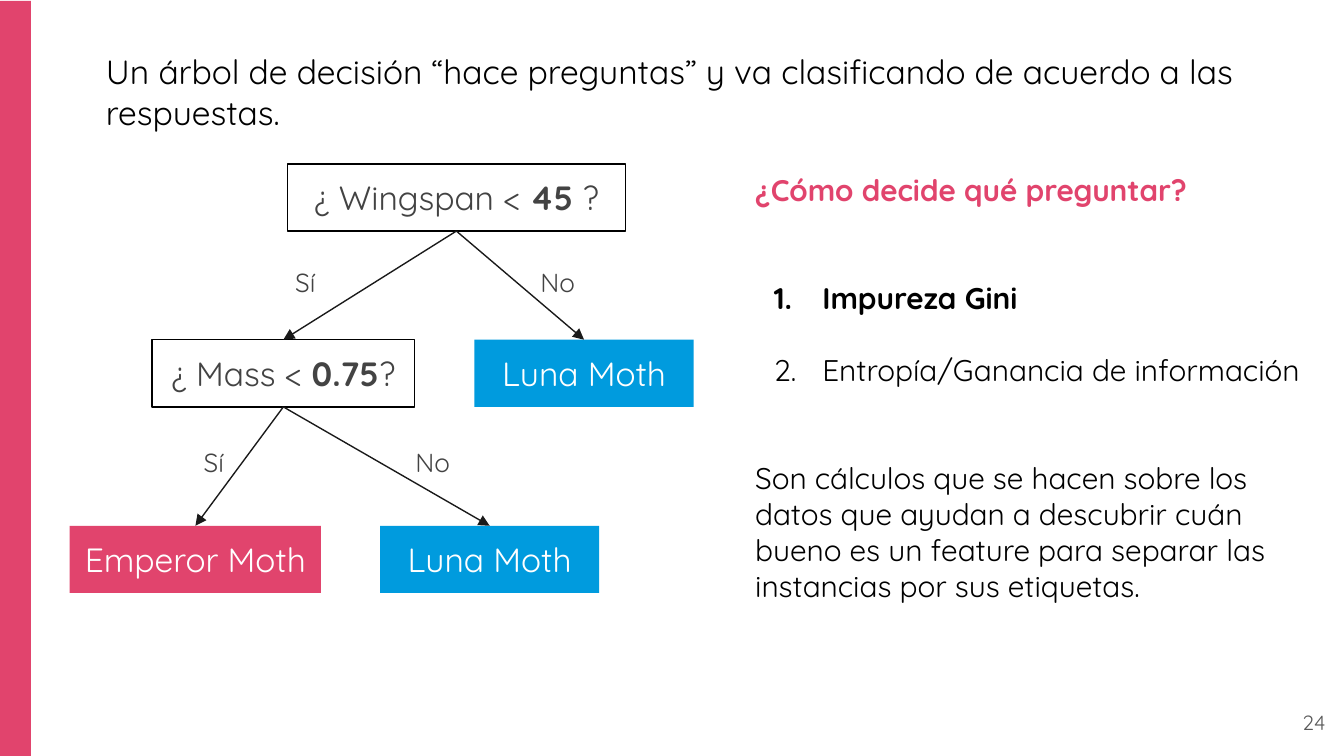
"""Build a slide that explains how a decision tree chooses its questions."""
from lxml.etree import SubElement
from pptx import Presentation
from pptx.dml.color import RGBColor
from pptx.enum.shapes import MSO_CONNECTOR, MSO_SHAPE
from pptx.enum.text import MSO_ANCHOR, PP_ALIGN
from pptx.oxml.ns import qn
from pptx.util import Pt

COLORS = {"pink": "E1446D", "blue": "009BDE", "black": "000000", "white": "FFFFFF",
          "dark": "434343", "gray": "595959", "arrow": "1A1A1A"}


def rgb(name):
    return RGBColor.from_string(COLORS[name])


def add_text(tf, text, size=16, color="black", bold=False, align=PP_ALIGN.LEFT,
             before=0, numbered=False):
    """Add a paragraph; asterisks in the text switch bold on and off."""
    tf.word_wrap = True
    tf.margin_left = tf.margin_right = tf.margin_top = tf.margin_bottom = Pt(7.2)
    p = tf.add_paragraph() if tf.text else tf.paragraphs[0]
    p.alignment = align
    if before:
        p.space_before = Pt(before)
    if numbered:
        pPr = p._p.get_or_add_pPr()
        pPr.set("marL", str(Pt(36)))
        pPr.set("indent", str(Pt(-26)))
        clr = SubElement(pPr, qn("a:buClr"))
        SubElement(clr, qn("a:srgbClr"), val=COLORS[color])
        SubElement(pPr, qn("a:buAutoNum"), type="arabicPeriod")
    for i, part in enumerate(text.split("*")):
        if part:
            r = p.add_run()
            r.text = part
            r.font.name = "Quicksand"
            r.font.size = Pt(size)
            r.font.bold = bold != (i % 2 == 1)
            r.font.color.rgb = rgb(color)


prs = Presentation()
prs.slide_width, prs.slide_height = Pt(720), Pt(405)
s = prs.slides.add_slide(prs.slide_layouts[6])

bar = s.shapes.add_shape(MSO_SHAPE.RECTANGLE, Pt(0), Pt(0.5), Pt(16.6), Pt(404.5))
bar.shadow.inherit = False
bar.fill.solid()
bar.fill.fore_color.rgb = rgb("pink")
bar.line.fill.background()

nodes = {}
for key, text, x, y, w, fill in [
    ("wingspan", "¿ Wingspan < *45 *?", 154, 87.8, 181, None),
    ("luna_top", "Luna Moth", 254.2, 182, 117.4, "blue"),
    ("mass", "¿ Mass < *0.75*?", 81.5, 182, 140.6, None),
    ("luna_low", "Luna Moth", 203.6, 281.7, 117.4, "blue"),
    ("emperor", "Emperor Moth", 37.4, 281.7, 134.6, "pink"),
]:
    sp = s.shapes.add_shape(MSO_SHAPE.RECTANGLE, Pt(x), Pt(y), Pt(w), Pt(36))
    sp.shadow.inherit = False
    if fill:
        sp.fill.solid()
        sp.fill.fore_color.rgb = rgb(fill)
        sp.line.fill.background()
    else:
        sp.fill.background()
        sp.line.color.rgb = rgb("black")
        sp.line.width = Pt(0.75)
    sp.text_frame.vertical_anchor = MSO_ANCHOR.MIDDLE
    add_text(sp.text_frame, text, size=18, color="white" if fill else "dark",
             align=PP_ALIGN.CENTER)
    nodes[key] = sp

for parent, child, answer, x, y in [
    ("wingspan", "luna_top", "No", 277.2, 135.4),
    ("wingspan", "mass", "Sí", 142, 135.4),
    ("mass", "luna_low", "No", 210.2, 231.8),
    ("mass", "emperor", "Sí", 93, 231.8),
]:
    arrow = s.shapes.add_connector(MSO_CONNECTOR.STRAIGHT, 0, 0, 0, 0)
    arrow.begin_connect(nodes[parent], 2)
    arrow.end_connect(nodes[child], 0)
    arrow.line.color.rgb = rgb("arrow")
    arrow.line.width = Pt(0.75)
    SubElement(arrow.line._get_or_add_ln(), qn("a:tailEnd"), type="triangle")
    SubElement(arrow._element.spPr, qn("a:effectLst"))
    label = s.shapes.add_textbox(Pt(x), Pt(y), Pt(43.2), Pt(36))
    add_text(label.text_frame, answer, size=14, color="dark", align=PP_ALIGN.CENTER)

title = s.shapes.add_textbox(Pt(49.7), Pt(20.2), Pt(637.2), Pt(47.5))
add_text(title.text_frame, "Un árbol de decisión “hace preguntas” y va clasificando "
         "de acuerdo a las respuestas.", size=18)

number = s.shapes.add_textbox(Pt(674), Pt(373.7), Pt(43.2), Pt(31))
add_text(number.text_frame, "24", size=11, color="gray", align=PP_ALIGN.RIGHT)

tf = s.shapes.add_textbox(Pt(397.5), Pt(85), Pt(307.5), Pt(224)).text_frame
add_text(tf, "¿Cómo decide qué preguntar?", color="pink", bold=True)
add_text(tf, "Impureza Gini", bold=True, before=38.6, numbered=True)
add_text(tf, "Entropía/Ganancia de información", before=19.3, numbered=True)
add_text(tf, "Son cálculos que se hacen sobre los datos que ayudan a descubrir cuán bueno "
         "es un feature para separar las instancias por sus etiquetas.", before=38.6)

prs.save("out.pptx")
